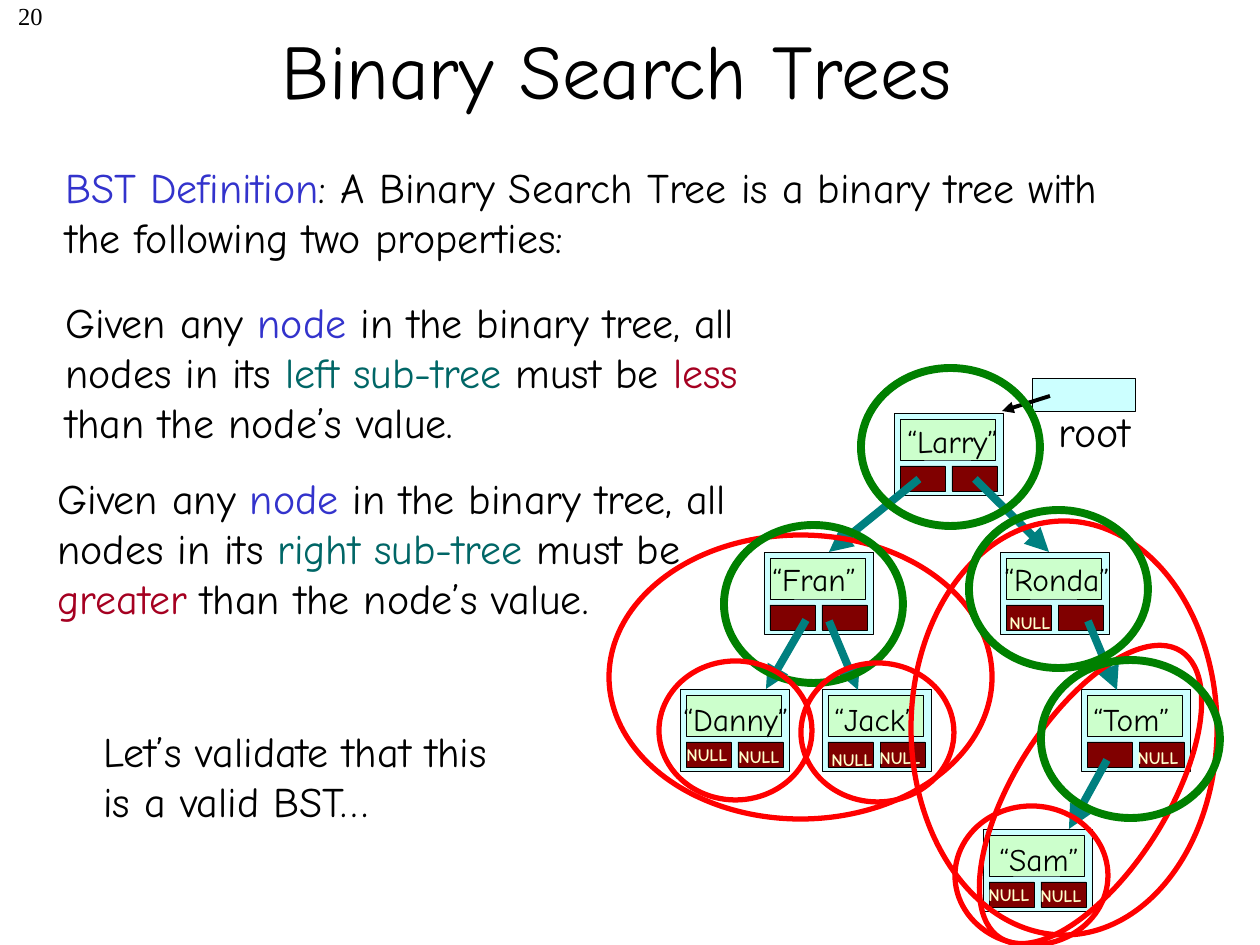
from lxml import etree
from pptx import Presentation
from pptx.dml.color import RGBColor
from pptx.enum.shapes import MSO_CONNECTOR, MSO_SHAPE
from pptx.enum.text import MSO_ANCHOR, PP_ALIGN
from pptx.oxml.ns import qn
from pptx.util import Emu, Pt

RECT, OVAL = MSO_SHAPE.RECTANGLE, MSO_SHAPE.OVAL
STRAIGHT = MSO_CONNECTOR.STRAIGHT
LEFT, CENTER, RIGHT = PP_ALIGN.LEFT, PP_ALIGN.CENTER, PP_ALIGN.RIGHT
TOP, MIDDLE = MSO_ANCHOR.TOP, MSO_ANCHOR.MIDDLE
SCALE = 914400 / 126
HAND, SERIF = "Comic Neue", "Times New Roman"

COLORS = {
    "black": "000000", "blue": "3333CC", "teal": "006666", "crimson": "A50021",
    "node": "CCFFFF", "value": "CCFFCC", "pointer": "800000", "null": "FFFFCC",
    "link": "008080", "green": "008000", "red": "FF0000",
}

# Name, node corner, name box offset and width, NULL label offsets
NODES = [
    ("Fran", (764, 552), (-4, 2, 116), []),
    ("Larry", (894, 413), (1, 3, 127), []),
    ("Ronda", (1000, 552), (-8, 2, 133), [(-3, 54)]),
    ("Danny", (680, 689), (-9, 5, 135), [(-6, 49), (46, 51)]),
    ("Jack", (822, 689), (0, 5, 117), [(-3, 54), (45, 52)]),
    ("Tom", (1081, 689), (0, 5, 108), [(44, 52)]),
    ("Sam", (983, 829), (4, 5, 109), [(-7, 49), (45, 50)]),
]

LINKS = [
    ((919, 479), (829, 552)), ((975, 479), (1049, 552)),
    ((806, 620), (766, 689)), ((829, 621), (858, 690)),
    ((1088, 621), (1117, 690)), ((1107, 760), (1069, 829)),
]

GREEN_RING, RED_RING = (179, 158), (153, 139)
RINGS = [
    ("green", (861, 368), GREEN_RING, 0),
    ("red", (609, 535), (383, 284), 0),
    ("red", (911, 521), (306, 414), 0),
    ("green", (724, 525), GREEN_RING, 0),
    ("red", (659, 661), RED_RING, 0),
    ("red", (801, 663), RED_RING, 0),
    ("green", (969, 510), GREEN_RING, 0),
    ("red", (1014, 625), (153, 339), 32.2),
    ("green", (1041, 660), GREEN_RING, 0),
    ("red", (955, 806), RED_RING, 0),
]
RING_WIDTHS = {"green": 4.5, "red": 3}


def px(*lengths):
    """Turn pixel lengths into EMU."""
    return [Emu(round(length * SCALE)) for length in lengths]


def rgb(color):
    """Look up a named colour."""
    return RGBColor.from_string(COLORS[color])


def add_text(slide, box, runs, size, font=HAND, align=LEFT, anchor=TOP,
             wrap=True, bold=False):
    """Add a text box from (text, colour) runs; a newline is a line break."""
    frame = slide.shapes.add_textbox(*px(*box)).text_frame
    frame.word_wrap = wrap
    frame.vertical_anchor = anchor
    paragraph = frame.paragraphs[0]
    paragraph.alignment = align
    for text, color in runs:
        for index, line in enumerate(text.split("\n")):
            if index:
                paragraph.add_line_break()
            run = paragraph.add_run()
            run.text = line
            run.font.name = font
            run.font.size = Pt(size)
            run.font.bold = bold
            run.font.color.rgb = rgb(color)


def add_box(slide, box, color):
    """Add a filled rectangle with a hairline border."""
    shape = slide.shapes.add_shape(RECT, *px(*box))
    shape.shadow.inherit = False
    shape.fill.solid()
    shape.fill.fore_color.rgb = rgb(color)
    shape.line.color.rgb = rgb("black")
    shape.line.width = Pt(0.25)


def add_ring(slide, color, corner, extent, angle):
    """Add an unfilled ellipse marking a node or a sub-tree."""
    ring = slide.shapes.add_shape(OVAL, *px(*corner, *extent))
    ring.shadow.inherit = False
    ring.fill.background()
    ring.line.color.rgb = rgb(color)
    ring.line.width = Pt(RING_WIDTHS[color])
    ring.rotation = angle


def add_arrow(slide, start, end, color, width):
    """Add a straight arrow with a triangular head at its end."""
    arrow = slide.shapes.add_connector(STRAIGHT, *px(*start, *end))
    arrow.line.color.rgb = rgb(color)
    arrow.line.width = Pt(width)
    properties = arrow._element.spPr
    head = etree.SubElement(properties.find(qn("a:ln")), qn("a:tailEnd"))
    head.set("type", "triangle")
    etree.SubElement(properties, qn("a:effectLst"))


def add_node(slide, corner):
    """Add a tree node: a frame, two pointer cells and a value cell."""
    x, y = corner
    add_box(slide, (x, y, 109, 82), "node")
    for pointer_x in (x + 6, x + 58):
        add_box(slide, (pointer_x, y + 53, 45, 25), "pointer")
    add_box(slide, (x + 6, y + 6, 95, 41), "value")


def add_node_labels(slide, name, corner, name_place, null_offsets):
    """Write a node's value and its NULL pointers."""
    x, y = corner
    dx, dy, width = name_place
    add_text(slide, (x + dx, y + dy, width, 50),
             [(f"\u201c{name}\u201d", "black")], 18, wrap=False)
    for dx, dy in null_offsets:
        add_text(slide, (x + dx, y + dy, 72, 34), [("NULL", "null")], 10,
                 wrap=False, bold=True)


def add_rule(slide, corner, side, order):
    """Write the ordering property for one side of the tree."""
    add_text(slide, (*corner, 723, 164), [
        ("Given any ", "black"), ("node", "blue"),
        (" in the binary tree, all nodes in its ", "black"),
        (f"{side} sub-tree", "teal"), (" must be ", "black"),
        (order, "crimson"), (" than the node\u2019s value.", "black"),
    ], 24)


def add_tree(slide):
    """Draw the tree, its links and the root pointer."""
    for _, corner, _, _ in NODES:
        add_node(slide, corner)
    for start, end in LINKS:
        add_arrow(slide, start, end, "link", 4.5)
    for node in NODES:
        add_node_labels(slide, *node)
    add_box(slide, (1032, 378, 103, 33), "node")
    add_text(slide, (1046, 399, 110, 63), [("root", "black")], 24, wrap=False)
    add_arrow(slide, (1050, 396), (1002, 411), "black", 2.25)


def main():
    """Build the slide and save it."""
    deck = Presentation()
    deck.slide_width, deck.slide_height = px(1260, 945)
    slide = deck.slides.add_slide(deck.slide_layouts[6])

    add_text(slide, (0, -5, 55, 63), [("20", "black")], 14, SERIF, RIGHT)
    add_text(slide, (94, -10, 1071, 158), [("Binary Search Trees ", "black")],
             44, align=CENTER, anchor=MIDDLE)
    add_text(slide, (53, 155, 1106, 113), [
        ("BST Definition", "blue"),
        (": A Binary Search Tree is a binary tree with the following two "
         "properties:", "black"),
    ], 24)
    add_tree(slide)
    add_rule(slide, (53, 290), "left", "less")
    add_rule(slide, (45, 466), "right", "greater")
    add_text(slide, (91, 719, 471, 113),
             [("Let\u2019s validate that this\nis a valid BST\u2026", "black")],
             24, wrap=False)
    for ring in RINGS:
        add_ring(slide, *ring)

    deck.save("out.pptx")


main()
